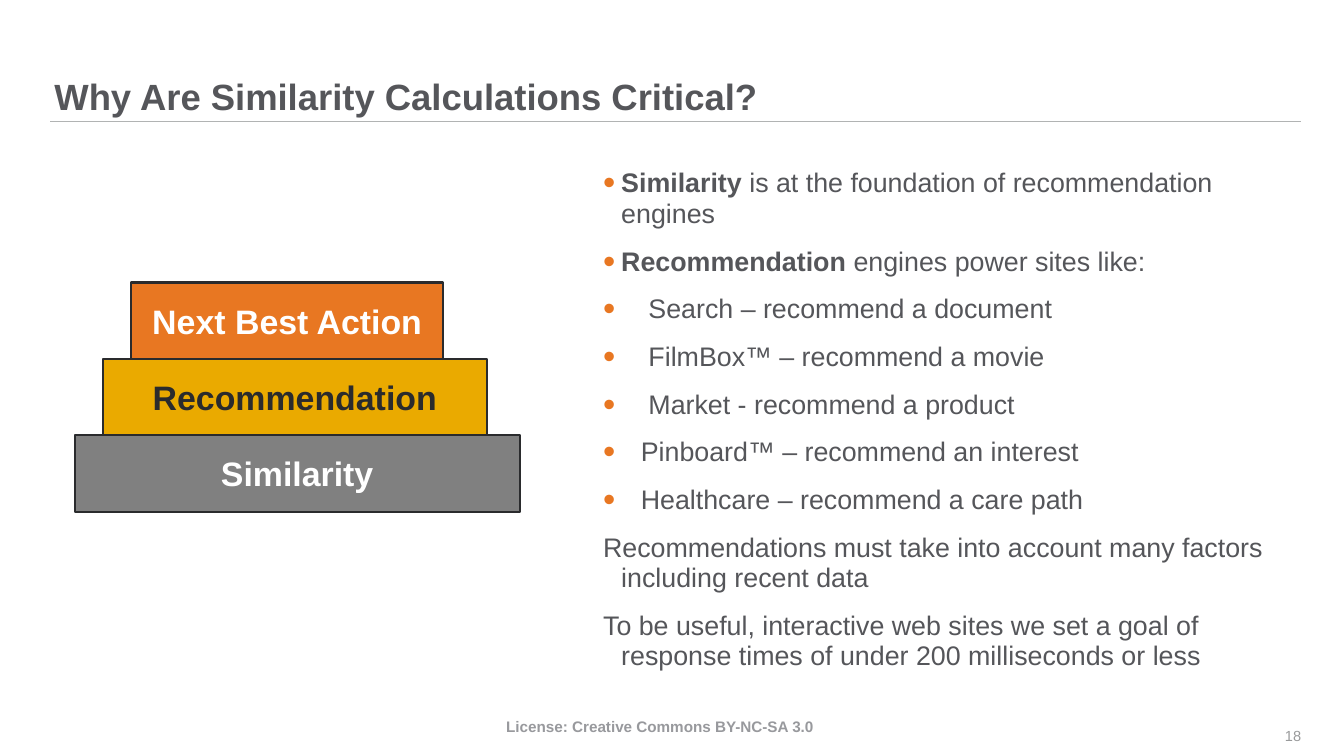
from lxml import etree
from pptx import Presentation
from pptx import util as u
from pptx.dml.color import RGBColor
from pptx.enum import shapes, text
from pptx.oxml.ns import qn

Pt = u.Pt
HUES = {"text": "55565A", "dark": "2A2B2D", "white": "FFFFFF", "orange": "E87722",
        "gold": "EAAA00", "gray": "808080", "rule": "B1B3B3", "foot": "98999D", "page": "999A9B"}
LEFT, MID, RIGHT = text.PP_ALIGN.LEFT, text.PP_ALIGN.CENTER, text.PP_ALIGN.RIGHT
TOP, CORE, BASE = text.MSO_ANCHOR.TOP, text.MSO_ANCHOR.MIDDLE, text.MSO_ANCHOR.BOTTOM

BARS = [("Next Best Action", 137.5, 327, "orange", "white"),
        ("Recommendation", 108, 402, "gold", "dark"),
        ("Similarity", 78.5, 466, "gray", "white")]
ITEMS = [("Similarity", " is at the foundation of recommendation engines", 19, True),
         ("Recommendation", " engines power sites like:", 19, True),
         ("", "Search – recommend a document", 47.5, True),
         ("", "FilmBox™ – recommend a movie", 47.5, True),
         ("", "Market - recommend a product", 47.5, True),
         ("", "Pinboard™ – recommend an interest", 39.5, True),
         ("", "Healthcare – recommend a care path", 39.5, True),
         ("", "Recommendations must take into account many factors including recent data", 19, False),
         ("", "To be useful, interactive web sites we set a goal of response times of under "
              "200 milliseconds or less", 19, False)]


class Deck:
    """Holds the style and the current slide, and draws each kind of element."""

    def __init__(self, wide, high, face="Arial"):
        self.prs = Presentation()
        self.prs.slide_width, self.prs.slide_height = Pt(wide), Pt(high)
        self.face = face
        self.slide = self.prs.slides.add_slide(self.prs.slide_layouts[5])

    def hue(self, name):
        return RGBColor.from_string(HUES[name])

    def font(self, para, size, hue, bold=None):
        font = para.font
        font.name, font.size, font.bold = self.face, Pt(size), bold
        font.color.rgb = self.hue(hue)

    def frame(self, shape, anchor, pad=0):
        frame = shape.text_frame
        frame.word_wrap, frame.auto_size = True, text.MSO_AUTO_SIZE.NONE
        frame.vertical_anchor = anchor
        frame.margin_left = frame.margin_right = Pt(pad)
        frame.margin_top = frame.margin_bottom = Pt(pad / 2)
        return frame

    def words(self, shape, words, size, hue, bold, align, anchor, pad=0):
        para = self.frame(shape, anchor, pad).paragraphs[0]
        para.text, para.alignment = words, align
        self.font(para, size, hue, bold)
        return para

    def title(self, words, box, size):
        shape = self.slide.shapes.title
        shape.left, shape.top, shape.width, shape.height = map(Pt, box)
        self.words(shape, words, size, "text", True, LEFT, BASE).line_spacing = 0.9

    def label(self, words, box, size, hue, bold, align, anchor, pad=0):
        shape = self.slide.shapes.add_textbox(*map(Pt, box))
        self.words(shape, words, size, hue, bold, align, anchor, pad)

    def rule(self, left, right, y):
        line = self.slide.shapes.add_connector(
            shapes.MSO_CONNECTOR.STRAIGHT, Pt(left), Pt(y), Pt(right), Pt(y))
        line.line.color.rgb, line.line.width = self.hue("rule"), Pt(1)
        etree.SubElement(line._element.spPr, qn("a:effectLst"))

    def bar(self, words, box, fill, hue):
        shape = self.slide.shapes.add_shape(shapes.MSO_SHAPE.RECTANGLE, *map(Pt, box))
        shape.shadow.inherit = False
        shape.fill.solid()
        shape.fill.fore_color.rgb = self.hue(fill)
        shape.line.color.rgb, shape.line.width = self.hue("dark"), Pt(2.25)
        self.words(shape, words, 35.5, hue, True, MID, CORE, 10)

    def bullet(self, props):
        tint = etree.SubElement(props, qn("a:buClr"))
        etree.SubElement(tint, qn("a:srgbClr"), val=HUES["orange"])
        etree.SubElement(props, qn("a:buSzPct"), val="130000")
        etree.SubElement(props, qn("a:buFont"), typeface=self.face)
        etree.SubElement(props, qn("a:buChar"), char="•")

    def points(self, items, box, size):
        frame = self.frame(self.slide.shapes.add_textbox(*map(Pt, box)), TOP)
        for i, (lead, rest, dent, dot) in enumerate(items):
            para = frame.add_paragraph() if i else frame.paragraphs[0]
            props = para._p.get_or_add_pPr()
            props.set("marL", str(Pt(dent)))
            props.set("indent", str(-Pt(dent)))
            if dot:
                self.bullet(props)
            para.line_spacing, para.space_after = 0.95, Pt(7.7)
            para.space_before = Pt(10.2 if i else 0)
            self.font(para, size, "text")
            if lead:
                run = para.add_run()
                run.text, run.font.bold = lead, True
            para.add_run().text = rest


def main():
    deck = Deck(1408.32, 792)
    deck.rule(52.5, 1363.5, 127.5)
    deck.label("License: Creative Commons BY-NC-SA 3.0", (414, 748, 555, 27),
               16, "foot", True, MID, TOP, 7.2)
    deck.title("Why Are Similarity Calculations Critical?", (57, 0, 1307, 124), 38.2)
    deck.points(ITEMS, (632, 176.5, 717, 538.5), 28.1)
    deck.label("18", (1301, 749, 62.5, 42.5), 15.3, "page", False, RIGHT, CORE)
    for i, (words, left, wide, fill, hue) in enumerate(BARS):
        deck.bar(words, (left, 296 + 80 * i, wide, 80), fill, hue)
    deck.prs.save("out.pptx")


if __name__ == "__main__":
    main()
